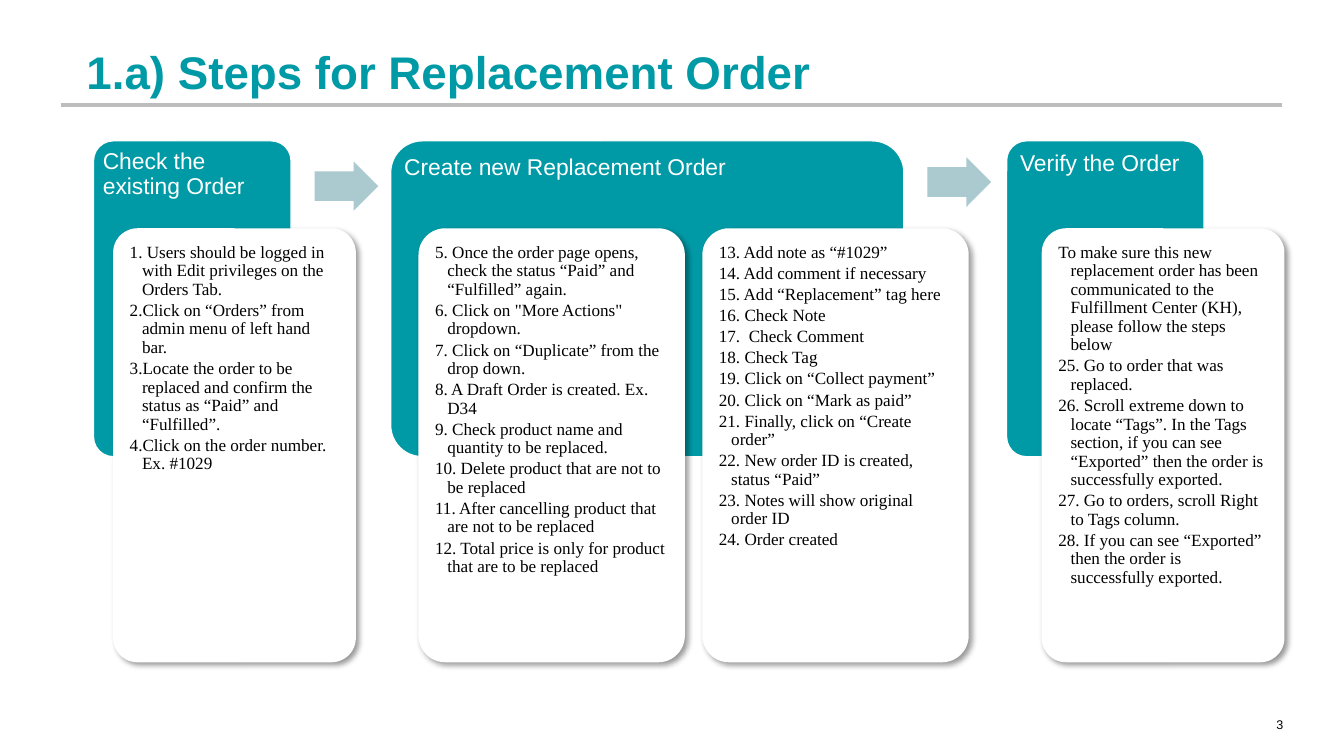
from dataclasses import dataclass

from lxml import etree
from pptx import Presentation
from pptx.dml.color import RGBColor
from pptx.enum.shapes import MSO_CONNECTOR, MSO_SHAPE
from pptx.enum.text import MSO_ANCHOR, PP_ALIGN
from pptx.oxml.ns import qn
from pptx.util import Emu, Inches, Pt

ROUNDED, ARROW = MSO_SHAPE.ROUNDED_RECTANGLE, MSO_SHAPE.RIGHT_ARROW
STRAIGHT = MSO_CONNECTOR.STRAIGHT
TOP, BOTTOM = MSO_ANCHOR.TOP, MSO_ANCHOR.BOTTOM
LEFT, RIGHT = PP_ALIGN.LEFT, PP_ALIGN.RIGHT

WIDTH, HEIGHT = Inches(13.07), Inches(7.35)
COLUMNS = ROWS = 100  # the slide is a grid of 100 columns and 100 rows


@dataclass(frozen=True)
class TextStyle:
    font: str
    size: float
    color: str
    bold: bool = False
    line_spacing: float = 1.0
    space_after: float = 0
    hanging: float = 0


@dataclass(frozen=True)
class Theme:
    teal: str = "009AA6"
    arrow: str = "ABCAD0"
    rule: str = "BDBDBD"
    white: str = "FFFFFF"
    black: str = "000000"
    title: TextStyle = TextStyle("Arial", 32, teal, bold=True)
    heading: TextStyle = TextStyle("Arial", 16, white, line_spacing=0.9, space_after=5.6)
    step: TextStyle = TextStyle("Times New Roman", 12, black, line_spacing=0.9,
                                space_after=1.8, hanging=0.12)
    number: TextStyle = TextStyle("Arial", 8.8, black)


THEME = Theme()


@dataclass(frozen=True)
class Box:
    """An area in grid columns and rows."""
    left: float
    top: float
    width: float
    height: float

    def emu(self) -> tuple[Emu, Emu, Emu, Emu]:
        return col(self.left), row(self.top), col(self.width), row(self.height)


@dataclass(frozen=True)
class Stage:
    heading: str
    left: float
    width: float
    shift_right: float = 0
    shift_down: float = 0


@dataclass(frozen=True)
class Card:
    left: float
    width: float
    steps: tuple[str, ...]
    numbered: bool = False


# Content
STAGE_TOP, STAGE_HEIGHT, HEADING_HEIGHT = 18.64, 41.77, 10.48
CARD_TOP, CARD_HEIGHT = 30.2, 57.41
CARD_PAD_X, CARD_PAD_Y = 0.54, 0.78
OUTER_CARD, MIDDLE_CARD = 18.06, 19.82

STAGES = (
    Stage("Check the existing Order", 6.96, 14.69),
    Stage("Create new Replacement Order", 29.07, 38.18, 0.31, 0.68),
    Stage("Verify the Order", 74.9, 14.69, 0.31, 0.27),
)
CARDS = (
    Card(8.42, OUTER_CARD, (
        " Users should be logged in with Edit privileges on the Orders Tab.",
        "Click on “Orders” from admin menu of left hand bar.",
        "Locate the order to be replaced and confirm the status as “Paid” and “Fulfilled”.",
        "Click on the order number. Ex. #1029",
    ), numbered=True),
    Card(31.14, MIDDLE_CARD, (
        "5. Once the order page opens, check the status “Paid” and “Fulfilled” again.",
        "6. Click on \"More Actions\" dropdown.",
        "7. Click on “Duplicate” from the drop down.",
        "8. A Draft Order is created. Ex. D34",
        "9. Check product name and quantity to be replaced.",
        "10. Delete product that are not to be replaced",
        "11. After cancelling product that are not to be replaced",
        "12. Total price is only for product that are to be replaced",
    )),
    Card(52.26, MIDDLE_CARD, (
        "13. Add note as “#1029”",
        "14. Add comment if necessary",
        "15. Add “Replacement” tag here",
        "16. Check Note",
        "17.  Check Comment",
        "18. Check Tag",
        "19. Click on “Collect payment”",
        "20. Click on “Mark as paid”",
        "21. Finally, click on “Create order”",
        "22. New order ID is created, status “Paid”",
        "23. Notes will show original order ID",
        "24. Order created",
    )),
    Card(77.51, OUTER_CARD, (
        "To make sure this new replacement order has been communicated to the "
        "Fulfillment Center (KH), please follow the steps below",
        "25. Go to order that was replaced.",
        "26. Scroll extreme down to locate “Tags”. In the Tags section, if you can see "
        "“Exported” then the order is successfully exported.",
        "27. Go to orders, scroll Right to Tags column.",
        "28. If you can see “Exported” then the order is successfully exported.",
    )),
)
ARROWS = (Box(23.41, 21.36, 4.74, 6.53), Box(69.01, 20.82, 4.74, 6.53))


def col(columns: float) -> Emu:
    return Emu(round(WIDTH * columns / COLUMNS))


def row(rows: float) -> Emu:
    return Emu(round(HEIGHT * rows / ROWS))


def add_block(slide, kind, box: Box, fill: str, adjustments: tuple[float, ...],
              outline: str | None = None):
    block = slide.shapes.add_shape(kind, *box.emu())
    block.shadow.inherit = False
    for index, value in enumerate(adjustments):
        block.adjustments[index] = value
    block.fill.solid()
    block.fill.fore_color.rgb = RGBColor.from_string(fill)
    if outline:
        block.line.color.rgb = RGBColor.from_string(outline)
        block.line.width = Pt(0.85)
    else:
        block.line.fill.background()
    return block


def add_drop_shadow(block) -> None:
    effects = block._element.spPr.find(qn("a:effectLst"))
    shadow = etree.SubElement(effects, qn("a:outerShdw"), blurRad=str(Pt(4)),
                              dist=str(Pt(3)), dir=str(45 * 60000), rotWithShape="0")
    color = etree.SubElement(shadow, qn("a:srgbClr"), val=THEME.black)
    etree.SubElement(color, qn("a:alpha"), val="40000")


def add_text(slide, box: Box, lines: tuple[str, ...], style: TextStyle,
             insets: tuple[float, float, float, float] = (0, 0, 0, 0),
             anchor=TOP, align=LEFT, numbered: bool = False) -> None:
    frame = slide.shapes.add_textbox(*box.emu()).text_frame
    frame.word_wrap = True
    frame.vertical_anchor = anchor
    (frame.margin_left, frame.margin_top,
     frame.margin_right, frame.margin_bottom) = map(Inches, insets)
    frame.text = "\n".join(lines)
    for paragraph in frame.paragraphs:
        paragraph.alignment = align
        paragraph.line_spacing = style.line_spacing
        paragraph.space_after = Pt(style.space_after)
        properties = paragraph._p.get_or_add_pPr()
        if style.hanging:
            paragraph.level = 1
            properties.set("marL", str(Inches(style.hanging)))
            properties.set("indent", str(-Inches(style.hanging)))
        if numbered:
            etree.SubElement(properties, qn("a:buAutoNum"), type="arabicPeriod")
        for run in paragraph.runs:
            run.font.name = style.font
            run.font.size = Pt(style.size)
            run.font.bold = style.bold
            run.font.color.rgb = RGBColor.from_string(style.color)


def add_rule(slide, left: float, right: float, top: float) -> None:
    rule = slide.shapes.add_connector(STRAIGHT, col(left), row(top), col(right), row(top))
    rule.line.color.rgb = RGBColor.from_string(THEME.rule)
    rule.line.width = Pt(2.25)
    etree.SubElement(rule._element.spPr, qn("a:effectLst"))


def add_stage(slide, stage: Stage) -> None:
    panel = Box(stage.left, STAGE_TOP, stage.width, STAGE_HEIGHT)
    add_block(slide, ROUNDED, panel, THEME.teal, (0.1,), outline=THEME.white)
    label = Box(stage.left + stage.shift_right, STAGE_TOP + stage.shift_down,
                stage.width, HEADING_HEIGHT)
    add_text(slide, label, (stage.heading,), THEME.heading, (0.09, 0.09, 0.09, 0.05))


def add_card(slide, card: Card) -> None:
    face = Box(card.left, CARD_TOP, card.width, CARD_HEIGHT)
    add_drop_shadow(add_block(slide, ROUNDED, face, THEME.white, (0.1,)))
    inner = Box(card.left + CARD_PAD_X, CARD_TOP + CARD_PAD_Y,
                card.width - 2 * CARD_PAD_X, CARD_HEIGHT - 2 * CARD_PAD_Y)
    add_text(slide, inner, card.steps, THEME.step, (0.09,) * 4, numbered=card.numbered)


def main() -> None:
    deck = Presentation()
    deck.slide_width, deck.slide_height = WIDTH, HEIGHT
    slide = deck.slides.add_slide(deck.slide_layouts[6])

    # Title, rule and page number
    add_rule(slide, 4.51, 95.41, 13.88)
    add_text(slide, Box(92.81, 94.83, 2.68, 2.04), ("3",), THEME.number,
             anchor=BOTTOM, align=RIGHT)
    add_text(slide, Box(6.43, 2.45, 88.98, 10.61), ("1.a) Steps for Replacement Order",),
             THEME.title, anchor=BOTTOM)

    # Stages, their step cards and the arrows between
    for stage in STAGES:
        add_stage(slide, stage)
    for card in CARDS:
        add_card(slide, card)
    for arrow in ARROWS:
        add_block(slide, ARROW, arrow, THEME.arrow, (0.6, 0.5))

    deck.save("out.pptx")


if __name__ == "__main__":
    main()
